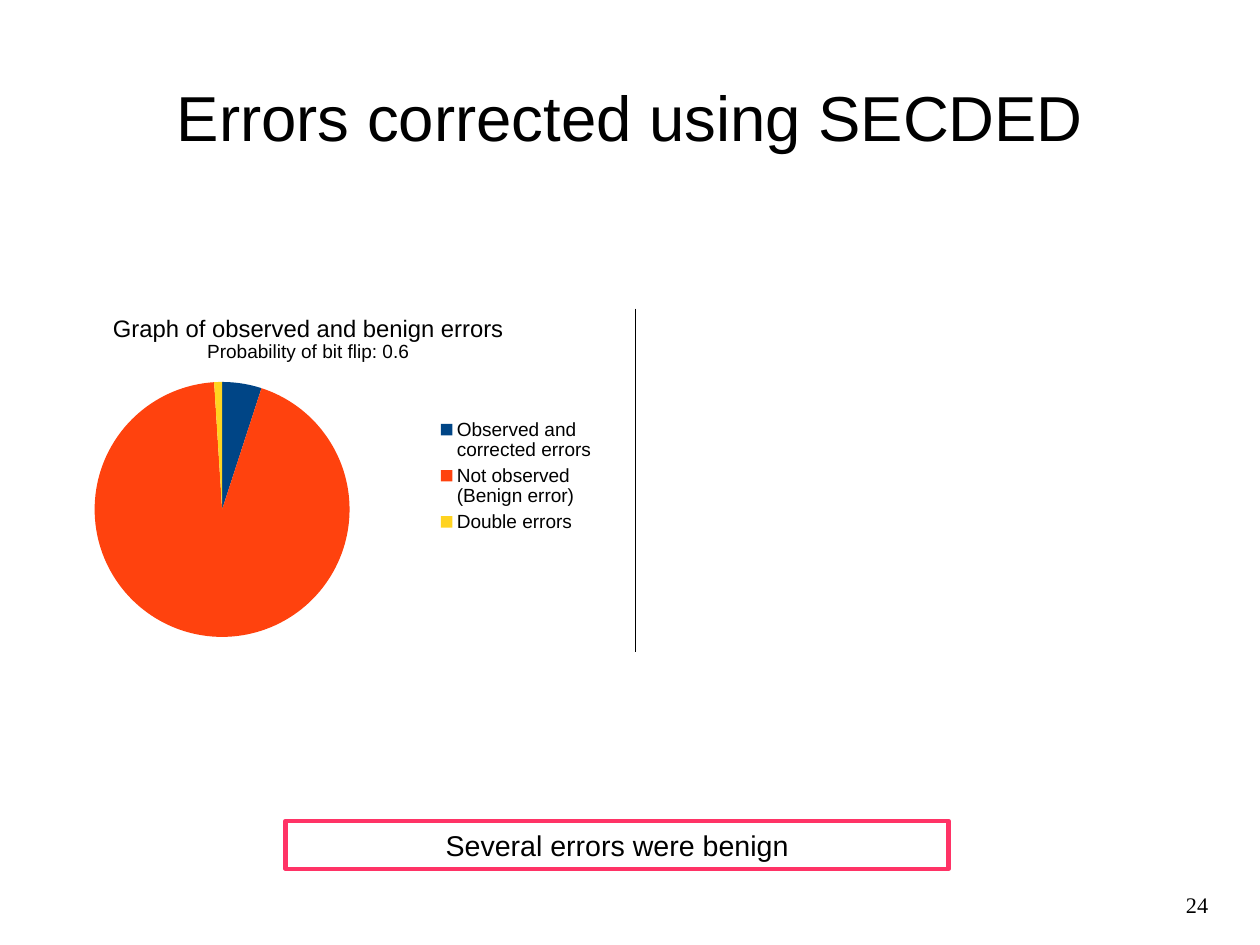
from lxml import etree
from pptx import Presentation
from pptx import util as u
from pptx.chart.data import CategoryChartData
from pptx.dml.color import RGBColor
from pptx.enum import chart as ch, shapes, text
from pptx.oxml import parse_xml
from pptx.oxml.ns import nsdecls, qn

HUES = {"ink": "000000", "paper": "FFFFFF", "frame": "FF3366",
        "seen": "004586", "benign": "FF420E", "double": "FFD320"}
SHARES = [("Observed and corrected errors", 5, "seen"),
          ("Not observed (Benign error)", 94, "benign"),
          ("Double errors", 1, "double")]
SANS, SERIF = "Arial", "Times New Roman"


def hue(name):
    return RGBColor.from_string(HUES[name])


def style(font, size, face=SANS):
    font.size, font.name, font.bold = u.Pt(size), face, False
    font.color.rgb = hue("ink")


def place(shape, box):
    shape.left, shape.top, shape.width, shape.height = map(u.Cm, box)


def write(frame, words, size, align, face=SANS, inset=(0, 0),
          anchor=text.MSO_ANCHOR.MIDDLE):
    frame.word_wrap = True
    frame.auto_size = text.MSO_AUTO_SIZE.NONE
    frame.vertical_anchor = anchor
    frame.margin_left = frame.margin_right = u.Cm(inset[0])
    frame.margin_top = frame.margin_bottom = u.Cm(inset[1])
    par = frame.paragraphs[0]
    par.alignment = align
    run = par.add_run()
    run.text = words
    style(run.font, size, face)


def set_layout(node, x, y, w, h, inner=False):
    """Fix a chart part at fractions of the chart's box."""
    for old in node.findall(qn("c:layout")):
        node.remove(old)
    target = '<c:layoutTarget val="inner"/>' if inner else ""
    parts = "".join(f'<c:{tag} val="{val}"/>' for tag, val in (
        ("xMode", "edge"), ("yMode", "edge"),
        ("x", x), ("y", y), ("w", w), ("h", h)))
    layout = parse_xml(f'<c:layout {nsdecls("c")}><c:manualLayout>'
                       f'{target}{parts}</c:manualLayout></c:layout>')
    # The legend's layout follows its position; the plot's comes first
    node.insert(0 if inner else 1, layout)


def add_title(slide, box):
    title = slide.shapes.title
    place(title, box)
    write(title.text_frame, "Errors corrected using SECDED", 40,
          text.PP_ALIGN.CENTER)


def add_claim(slide, box):
    claim = slide.shapes.add_shape(shapes.MSO_SHAPE.RECTANGLE, *map(u.Cm, box))
    claim.shadow.inherit = False
    claim.fill.background()
    claim.line.color.rgb = hue("frame")
    claim.line.width = u.Pt(2.83)
    write(claim.text_frame, "Several errors were benign", 18,
          text.PP_ALIGN.CENTER, inset=(0.3, 0.18))


def add_rule(slide, x, top, end):
    rule = slide.shapes.add_connector(
        shapes.MSO_CONNECTOR.STRAIGHT, *map(u.Cm, (x, top, x, end)))
    rule.line.color.rgb = hue("ink")
    rule.line.width = u.Pt(0.5)
    etree.SubElement(rule._element.spPr, qn("a:effectLst"))


def add_pie(slide, box):
    data = CategoryChartData()
    data.categories = [name for name, _, _ in SHARES]
    data.add_series("Series 1", [share for _, share, _ in SHARES])
    chart = slide.shapes.add_chart(
        ch.XL_CHART_TYPE.PIE, *map(u.Cm, box), data).chart
    style(chart.font, 10)

    # Heading in two sizes
    frame = chart.chart_title.text_frame
    heads = [("Graph of observed and benign errors", 15),
             ("Probability of bit flip: 0.6", 12)]
    for i, (words, size) in enumerate(heads):
        par = frame.add_paragraph() if i else frame.paragraphs[0]
        run = par.add_run()
        run.text = words
        style(run.font, size)
    chart.chart_title.include_in_layout = False

    # Slices
    plot = chart.plots[0]
    plot.vary_by_categories = True
    for i, (_, _, name) in enumerate(SHARES):
        slice_ = plot.series[0].points[i].format
        slice_.fill.solid()
        slice_.fill.fore_color.rgb = hue(name)
        slice_.line.fill.background()

    # Legend and layout
    chart.has_legend = True
    key = chart.legend
    key.position = ch.XL_LEGEND_POSITION.RIGHT
    key.include_in_layout = False
    style(key.font, 12)
    set_layout(key._element, 0.71, 0.33, 0.28, 0.35)
    area = chart._chartSpace.chart.plotArea
    set_layout(area, 0.14, 0.24, 0.43, 0.72, inner=True)


def add_number(slide, box):
    number = slide.shapes.add_textbox(*map(u.Cm, box))
    write(number.text_frame, "24", 14, text.PP_ALIGN.RIGHT, SERIF,
          anchor=text.MSO_ANCHOR.TOP)


def main():
    deck = Presentation()
    deck.slide_width, deck.slide_height = u.Cm(28), u.Cm(21)
    slide = deck.slides.add_slide(deck.slide_layouts[5])
    slide.background.fill.solid()
    slide.background.fill.fore_color.rgb = hue("paper")
    add_title(slide, (1.4, 0.84, 25.2, 3.5))
    add_claim(slide, (6.35, 18.24, 14.73, 1.07))
    add_rule(slide, 14.12, 6.86, 14.48)
    add_pie(slide, (0.25, 6.6, 13.2, 7.87))
    add_number(slide, (20.32, 19.81, 6.53, 1.45))
    deck.save("out.pptx")


if __name__ == "__main__":
    main()
